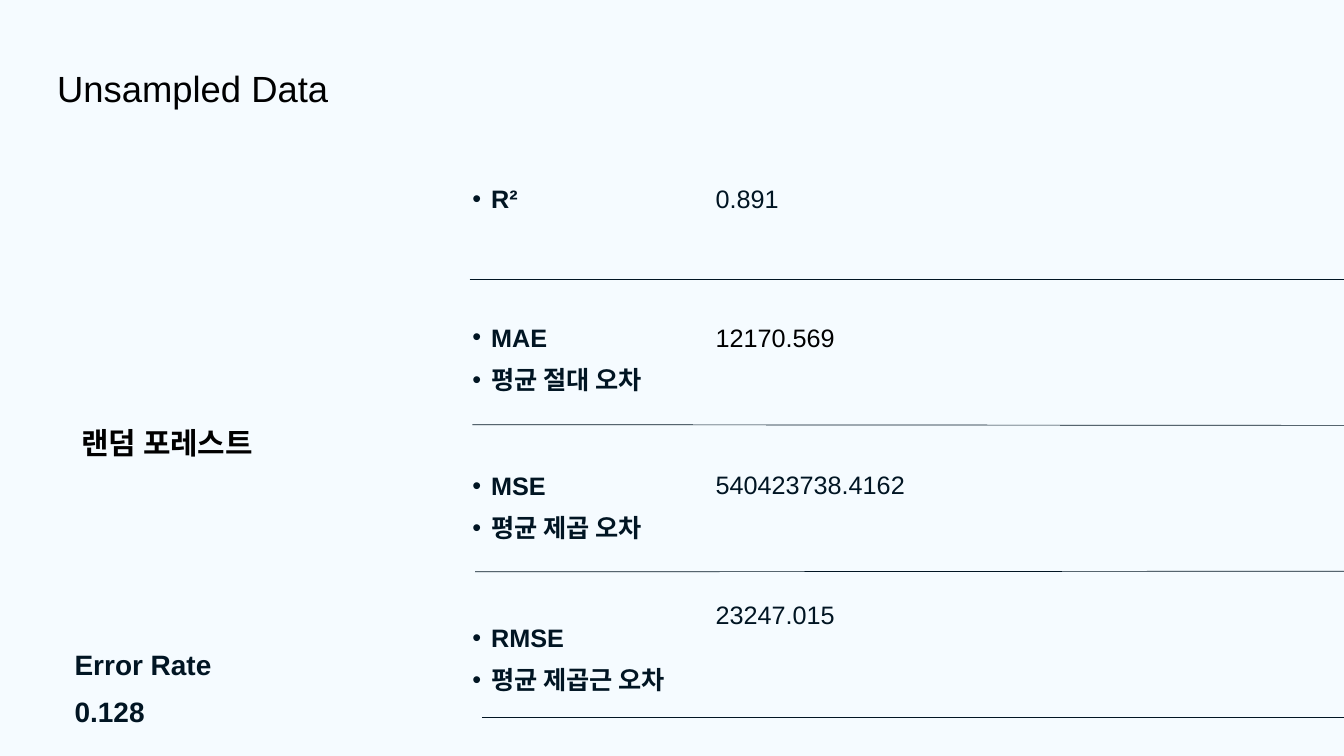
"""Build the slide of random forest error metrics on unsampled data."""
from lxml import etree
from pptx import Presentation
from pptx.dml.color import RGBColor
from pptx.enum.shapes import MSO_CONNECTOR
from pptx.enum.text import MSO_ANCHOR, MSO_AUTO_SIZE, PP_ALIGN
from pptx.oxml.ns import qn
from pptx.util import Pt

STRAIGHT = MSO_CONNECTOR.STRAIGHT
TOP = MSO_ANCHOR.TOP
LEFT = PP_ALIGN.LEFT
FIXED = MSO_AUTO_SIZE.NONE

PALE = RGBColor(0xF5, 0xFB, 0xFF)
NAVY = RGBColor(0x01, 0x15, 0x23)
BLACK = RGBColor(0, 0, 0)
FONT = "Arial"
WIDTH, HEIGHT = 1440, 810
NAME_X, VALUE_X = 492.5, 766.8

TITLE = ("Unsampled Data", (61.2, 51.8, 611.3, 72.7))
NOTES = [
    ("랜덤 포레스트", (87.1, 439.2, 357.8, 32.4), 32, BLACK),
    ("Error Rate 0.128", (79.9, 679.7, 179.3, 123.1), 30, NAVY),
]
METRICS = [
    {"names": ["R²"], "name_y": 183.6, "value": "0.891", "value_y": 183.6,
     "color": NAVY, "rule": (503.3, 299.5, 299.5)},
    {"names": ["MAE", "평균 절대 오차"], "name_y": 331.9, "value": "12170.569",
     "value_y": 331.9, "color": BLACK, "rule": (506.2, 455, 455.8)},
    {"names": ["MSE", "평균 제곱 오차"], "name_y": 491, "value": "540423738.4162",
     "value_y": 489.6, "color": NAVY, "rule": (509, 612.7, 612)},
    {"names": ["RMSE", "평균 제곱근 오차"], "name_y": 653.8, "value": "23247.015",
     "value_y": 628.6, "color": NAVY, "rule": (516.2, 768.2, 768.2)},
]


def add_dot(para):
    props = para._p.get_or_add_pPr()
    props.set("marL", str(Pt(33.8)))
    props.set("indent", str(Pt(-20.2)))
    tint = etree.SubElement(props, qn("a:buClr"))
    etree.SubElement(tint, qn("a:srgbClr"), val=str(NAVY))
    etree.SubElement(props, qn("a:buFont"), typeface=FONT)
    etree.SubElement(props, qn("a:buChar"), char="•")


def fill_text(shape, lines, box, size, color, bold=False, dots=False):
    shape.left, shape.top, shape.width, shape.height = map(Pt, box)
    frame = shape.text_frame
    frame.margin_left = frame.margin_right = 0
    frame.margin_top = frame.margin_bottom = 0
    frame.word_wrap = True
    frame.auto_size = FIXED
    frame.vertical_anchor = TOP
    frame.text = "\n".join(lines)
    for para in frame.paragraphs:
        if dots:
            para.level = 1
            add_dot(para)
        para.alignment = LEFT
        para.line_spacing = 1.4
        font = para.runs[0].font
        font.name, font.size, font.bold = FONT, Pt(size), bold
        font.color.rgb = color


def add_text(slide, *args, **style):
    fill_text(slide.shapes.add_textbox(0, 0, 0, 0), *args, **style)


def add_rule(slide, left, start, end):
    rule = slide.shapes.add_connector(
        STRAIGHT, Pt(left), Pt(start), Pt(WIDTH), Pt(end))
    rule.line.color.rgb = NAVY
    rule.line.width = Pt(0.75)
    etree.SubElement(rule._element.spPr, qn("a:effectLst"))


def main():
    deck = Presentation()
    deck.slide_width, deck.slide_height = Pt(WIDTH), Pt(HEIGHT)
    slide = deck.slides.add_slide(deck.slide_layouts[5])
    slide.background.fill.solid()
    slide.background.fill.fore_color.rgb = PALE
    text, box = TITLE
    fill_text(slide.shapes.title, [text], box, 39, BLACK)
    for text, box, size, color in NOTES:
        add_text(slide, [text], box, size, color, bold=True)
    for row in METRICS:
        names = row["names"]
        box = (NAME_X, row["name_y"], 257, 50 * len(names))
        add_text(slide, names, box, 27, NAVY, bold=True, dots=True)
        box = (VALUE_X, row["value_y"], 566.6, 110)
        add_text(slide, [row["value"]], box, 27, row["color"])
        add_rule(slide, *row["rule"])
    deck.save("out.pptx")


if __name__ == "__main__":
    main()
